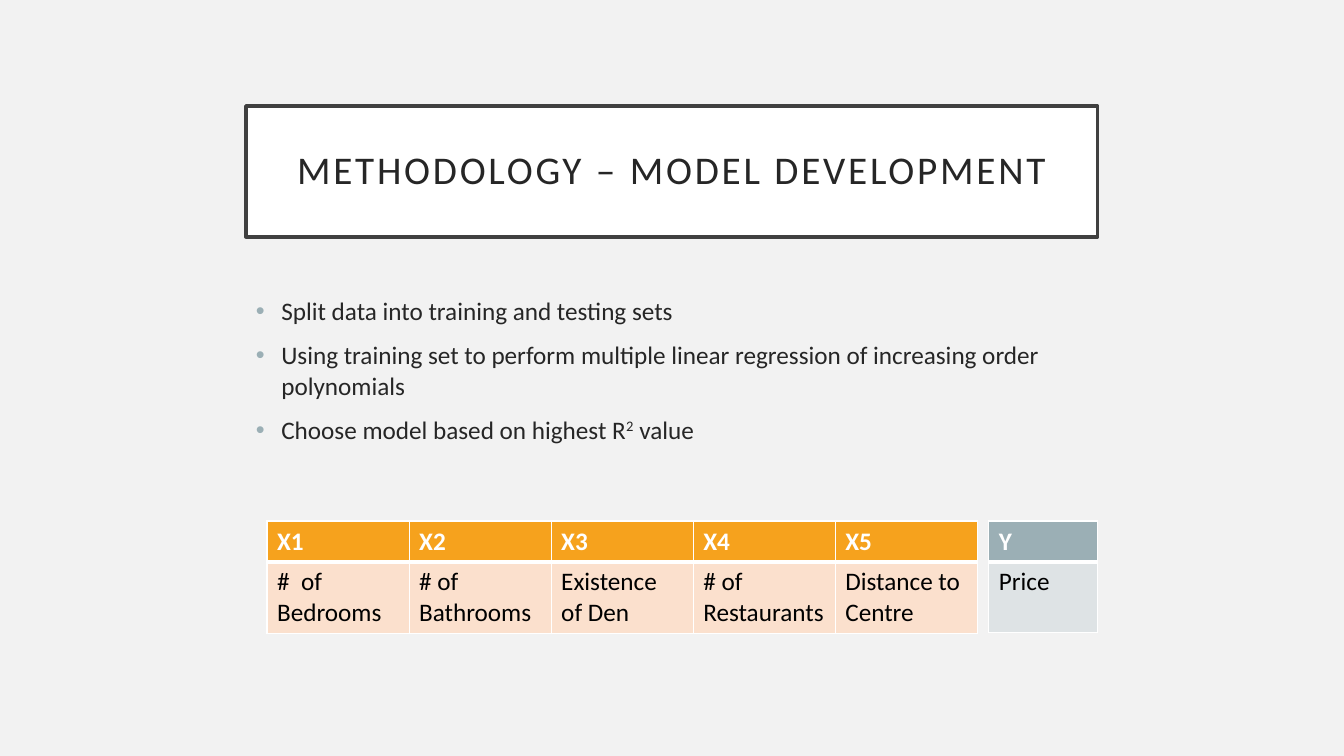
from lxml import etree
from pptx import Presentation
from pptx.dml.color import RGBColor
from pptx.enum import text
from pptx.oxml.ns import qn
from pptx.util import Cm, Pt

FONT = "Calibri"
BACKGROUND = RGBColor(0xF2, 0xF2, 0xF2)
WHITE = RGBColor(0xFF, 0xFF, 0xFF)
BLACK = RGBColor(0, 0, 0)
FRAME = RGBColor(0x40, 0x40, 0x40)
INK = RGBColor(0x26, 0x26, 0x26)
ORANGE = RGBColor(0xF6, 0xA2, 0x1D)
PEACH = RGBColor(0xFB, 0xE0, 0xCD)
SLATE = RGBColor(0x9B, 0xAF, 0xB5)
MIST = RGBColor(0xDE, 0xE3, 0xE5)

LEFT, WIDTH = Cm(6.2), Cm(21.46)
TABLE_TOP, ROW_HEIGHTS = Cm(13.13), (Cm(1.03), Cm(1.78))


def set_font(p, size, color, bold=False):
    p.font.name, p.font.size, p.font.bold = FONT, Pt(size), bold
    p.font.color.rgb = color


def add_border(cell, side, width):
    """Draw a white line on one side (L, R, T or B) of a table cell."""
    ln = etree.SubElement(cell._tc.get_or_add_tcPr(), qn(f"a:ln{side}"), w=str(Pt(width)))
    fill = etree.SubElement(ln, qn("a:solidFill"))
    etree.SubElement(fill, qn("a:srgbClr"), val=str(WHITE))


prs = Presentation()
prs.slide_width, prs.slide_height = Cm(33.87), Cm(19.05)
s = prs.slides.add_slide(prs.slide_layouts[5])
s.background.fill.solid()
s.background.fill.fore_color.rgb = BACKGROUND

# Title
title = s.shapes.title
title.left, title.top, title.width, title.height = LEFT, Cm(2.67), WIDTH, Cm(3.3)
title.fill.solid()
title.fill.fore_color.rgb = WHITE
title.line.color.rgb = FRAME
title.line.width = Pt(2.5)
tf = title.text_frame
tf.text = "METHODOLOGY – MODEL DEVELOPMENT"
tf.word_wrap = True
tf.auto_size = text.MSO_AUTO_SIZE.NONE
tf.vertical_anchor = text.MSO_ANCHOR.MIDDLE
tf.margin_left = tf.margin_right = tf.margin_top = tf.margin_bottom = Cm(0.5)
p = tf.paragraphs[0]
p.alignment = text.PP_ALIGN.CENTER
p.line_spacing = 0.9
set_font(p, 28, INK)
p.runs[0].font._element.set("spc", "200")

# Variable tables: left, column width, header fill, body fill, columns
tables = [
    (Cm(6.73), Cm(3.58), ORANGE, PEACH, [
        ("X1", "#  of Bedrooms"),
        ("X2", "# of Bathrooms"),
        ("X3", "Existence of Den"),
        ("X4", "# of Restaurants"),
        ("X5", "Distance to Centre"),
    ]),
    (Cm(24.92), Cm(2.74), SLATE, MIST, [("Y", "Price")]),
]
for left, col_width, header_fill, body_fill, columns in tables:
    table = s.shapes.add_table(2, len(columns), left, TABLE_TOP,
                               col_width * len(columns), sum(ROW_HEIGHTS)).table
    for row, height in zip(table.rows, ROW_HEIGHTS):
        row.height = height
    for c, column in enumerate(columns):
        table.columns[c].width = col_width
        for r, label in enumerate(column):
            header = r == 0
            cell = table.cell(r, c)
            cell.text = label
            set_font(cell.text_frame.paragraphs[0], 18, WHITE if header else BLACK, header)
            for side, width in zip("LRTB", (1, 1, 1, 3) if header else (1, 1, 3, 1)):
                add_border(cell, side, width)
            cell.fill.solid()
            cell.fill.fore_color.rgb = header_fill if header else body_fill

# Bullets: each one a list of (text, superscript) runs
bullets = [
    [("Split data into training and testing sets", False)],
    [("Using training set to perform multiple linear regression of increasing order polynomials", False)],
    [("Choose model based on highest R", False), ("2", True), (" value", False)],
]
tf = s.shapes.add_textbox(LEFT, Cm(7.32), WIDTH, Cm(8.61)).text_frame
tf.word_wrap = True
for i, runs in enumerate(bullets):
    p = tf.add_paragraph() if i else tf.paragraphs[0]
    p.space_before = Pt(10)
    set_font(p, 18, INK)
    pPr = p._p.get_or_add_pPr()
    pPr.set("marL", str(Cm(0.64)))
    pPr.set("indent", str(-Cm(0.64)))
    color = etree.Element(qn("a:buClr"))
    etree.SubElement(color, qn("a:srgbClr"), val=str(SLATE))
    font = etree.Element(qn("a:buFont"), typeface="Arial")
    char = etree.Element(qn("a:buChar"), char="•")
    for mark in (color, font, char):
        pPr.find(qn("a:defRPr")).addprevious(mark)
    for label, superscript in runs:
        r = p.add_run()
        r.text = label
        if superscript:
            r.font._element.set("baseline", "30000")

prs.save("out.pptx")
